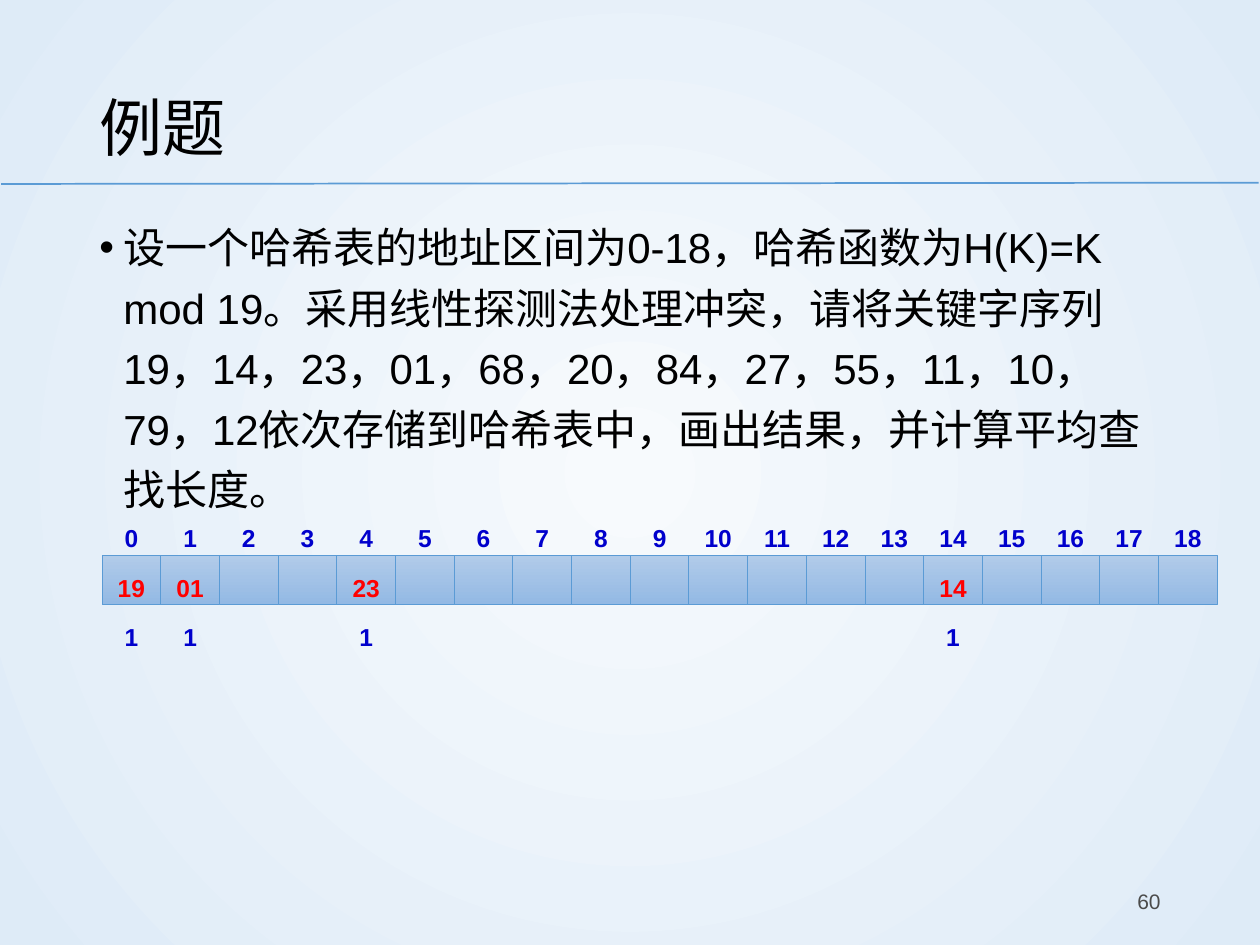
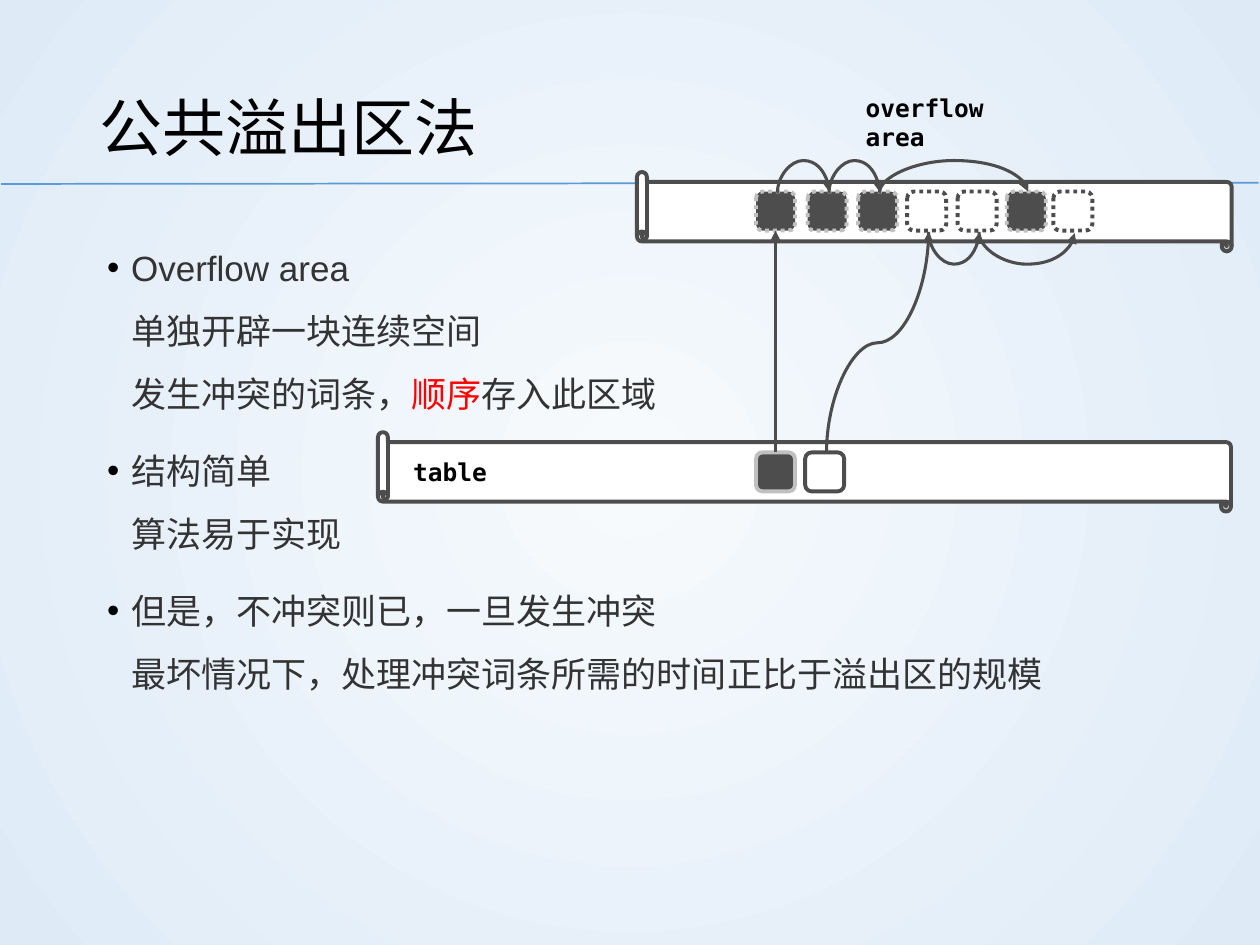
from lxml.etree import SubElement
from pptx import Presentation
from pptx.dml.color import RGBColor
from pptx.enum.dml import MSO_LINE
from pptx.enum.shapes import MSO_CONNECTOR, MSO_SHAPE
from pptx.enum.text import MSO_ANCHOR, PP_ALIGN
from pptx.oxml.ns import qn
from pptx.util import Inches, Pt

BLACK, WHITE, DARK, SILVER = "000000", "FFFFFF", "4D4D4D", "C0C0C0"
BLUE, INDEX_BLUE, RED, BODY_GRAY = "5B9BD5", "0000CC", "FF0000", "333333"
MONO = "DejaVu Sans Mono"
rgb = RGBColor.from_string


def write(target, paragraphs, size=14, color=BLACK, font="Arial", bold=False,
          align=PP_ALIGN.LEFT, anchor=MSO_ANCHOR.TOP, spacing=None, before=0,
          after=0, bullet=False, insets=(0.1, 0.05, 0.1, 0.05)):
    """Fill a shape; a paragraph is a string or a list of (text, color) runs."""
    tf = target.text_frame
    tf.word_wrap = True
    tf.vertical_anchor = anchor
    tf.margin_left, tf.margin_top, tf.margin_right, tf.margin_bottom = map(Inches, insets)
    if isinstance(paragraphs, str):
        paragraphs = [paragraphs]
    for i, runs in enumerate(paragraphs):
        p = tf.add_paragraph() if i else tf.paragraphs[0]
        if bullet:
            pPr = p._p.get_or_add_pPr()
            pPr.set("marL", str(Inches(0.19)))
            pPr.set("indent", str(Inches(-0.19)))
            SubElement(SubElement(pPr, qn("a:buClr")), qn("a:srgbClr")).set("val", BLACK)
            SubElement(pPr, qn("a:buFont")).set("typeface", "Arial")
            SubElement(pPr, qn("a:buChar")).set("char", "•")
        p.alignment = align
        p.line_spacing = spacing
        p.space_before = Pt(before if i else 0)
        p.space_after = Pt(after)
        for words, run_color in [(runs, color)] if isinstance(runs, str) else runs:
            for j, line in enumerate(words.split("\n")):
                if j:
                    p.add_line_break()
                r = p.add_run()
                r.text = line
                r.font.name, r.font.size, r.font.bold = font, Pt(size), bold
                r.font.color.rgb = rgb(run_color)


def finish_line(connector, color, width, arrow=False):
    connector.line.color.rgb = rgb(color)
    connector.line.width = Pt(width)
    if arrow:
        SubElement(connector.line._get_or_add_ln(), qn("a:tailEnd")).set("type", "triangle")
    SubElement(connector._element.spPr, qn("a:effectLst"))


prs = Presentation()
prs.slide_width, prs.slide_height = Inches(10), Inches(7.5)

# Shared background, rule and title
slides = []
for title in ("例题", "公共溢出区法"):
    s = prs.slides.add_slide(prs.slide_layouts[6])
    fill = s.background.fill
    fill.gradient()
    for stop, color in zip(fill.gradient_stops, ("F7FAFD", "DEEBF7")):
        stop.color.rgb = rgb(color)
    grad = s._element.find(".//" + qn("a:gradFill"))
    grad.remove(grad.find(qn("a:lin")))
    radial = SubElement(grad, qn("a:path"))
    radial.set("path", "circle")
    center = SubElement(radial, qn("a:fillToRect"))
    for side in "ltrb":
        center.set(side, "50000")
    rule = s.shapes.add_connector(MSO_CONNECTOR.STRAIGHT, Inches(0.01), Inches(1.46),
                                  Inches(9.99), Inches(1.45))
    finish_line(rule, BLUE, 1)
    box = s.shapes.add_textbox(Inches(0.69), Inches(0.4), Inches(8.62), Inches(1.08))
    write(box, title, size=36, anchor=MSO_ANCHOR.MIDDLE, spacing=1.2)
    slides.append(s)

# Slide 1: exercise text and page number
sp = slides[0].shapes
box = sp.add_textbox(Inches(0.69), Inches(1.63), Inches(8.62), Inches(5.13))
write(box, "设一个哈希表的地址区间为0-18，哈希函数为H(K)=K mod 19。采用线性探测法处理冲突，"
      "请将关键字序列19，14，23，01，68，20，84，27，55，11，10，79，12"
      "依次存储到哈希表中，画出结果，并计算平均查找长度。",
      size=24, spacing=1.2, bullet=True)
box = sp.add_textbox(Inches(7.06), Inches(6.95), Inches(2.25), Inches(0.4))
write(box, "60", size=12, color="4B4B4B", align=PP_ALIGN.RIGHT, anchor=MSO_ANCHOR.MIDDLE)

# Slide 1: hash table with index above, key inside, probe count below
slots = 19
slot_w = 8.85 / slots
stored = {0: "19", 1: "01", 4: "23", 14: "14"}
for i in range(slots):
    x = Inches(0.81 + i * slot_w)
    slot = sp.add_shape(MSO_SHAPE.RECTANGLE, x, Inches(4.41), Inches(slot_w), Inches(0.39))
    slot.shadow.inherit = False
    slot.fill.gradient()
    slot.fill.gradient_angle = 270
    for stop, color in zip(slot.fill.gradient_stops, ("B1CBE9", "93B9E4")):
        stop.color.rgb = rgb(color)
    slot.line.color.rgb = rgb(BLUE)
    slot.line.width = Pt(0.5)
    labels = [(4.1, str(i), INDEX_BLUE)]
    if i in stored:
        labels += [(4.5, stored[i], RED), (4.89, "1", INDEX_BLUE)]
    for y, label, color in labels:
        box = sp.add_textbox(x, Inches(y), Inches(slot_w), Inches(0.34))
        write(box, label, color=color, bold=True, align=PP_ALIGN.CENTER)

# Slide 2: explanation
sp = slides[1].shapes
box = sp.add_textbox(Inches(0.69), Inches(1.63), Inches(8.62), Inches(5.13))
write(box, [[("Overflow area\n单独开辟一块连续空间\n发生冲突的词条，", BODY_GRAY),
             ("顺序", RED), ("存入此区域", BODY_GRAY)],
            "结构简单\n算法易于实现",
            "但是，不冲突则已，一旦发生冲突\n最坏情况下，处理冲突词条所需的时间正比于溢出区的规模"],
      size=20, color=BODY_GRAY, spacing=1.5, before=6, after=2, bullet=True,
      insets=(0.16, 0.16, 0, 0.08))

# Slide 2: the two scrolls, table below and overflow area above
scrolls = []
for x, y, length in ((6.07, 0.36, 6.77), (7.1, -0.68, 4.72)):
    scroll = sp.add_shape(MSO_SHAPE.VERTICAL_SCROLL, Inches(x), Inches(y),
                          Inches(0.63), Inches(length))
    scroll.rotation = 270
    scroll.shadow.inherit = False
    scroll.fill.solid()
    scroll.fill.fore_color.rgb = rgb(WHITE)
    scroll.line.color.rgb = rgb(DARK)
    scroll.line.width = Pt(2.25)
    scrolls.append(scroll)
write(scrolls[0], "table", font=MONO, bold=True, anchor=MSO_ANCHOR.MIDDLE, insets=(0.2,) * 4)
scrolls[0].text_frame._txBody.bodyPr.set("vert", "eaVert")
box = sp.add_textbox(Inches(6.87), Inches(0.84), Inches(1.42), Inches(0.26))
write(box, "overflow area", font=MONO, bold=True, anchor=MSO_ANCHOR.MIDDLE, insets=(0,) * 4)

# Slide 2: entries, dark ones belong to the first chain
entries = []
for x, y, dark in ((6, 3.59, True), (6.39, 3.59, False), (6, 1.52, True),
                   (6.41, 1.52, True), (6.81, 1.52, True), (7.2, 1.52, False),
                   (7.6, 1.52, False), (7.99, 1.52, True), (8.36, 1.52, False)):
    entry = sp.add_shape(MSO_SHAPE.ROUNDED_RECTANGLE, Inches(x), Inches(y),
                         Inches(0.31), Inches(0.31))
    entry.shadow.inherit = False
    entry.fill.solid()
    entry.fill.fore_color.rgb = rgb(DARK if dark else WHITE)
    entry.line.color.rgb = rgb(SILVER if dark else DARK)
    entry.line.width = Pt(2.25)
    if y < 2:
        entry.line.dash_style = MSO_LINE.ROUND_DOT
    entries.append(entry)

# Slide 2: straight link from the table to the overflow area
link = sp.add_connector(MSO_CONNECTOR.STRAIGHT, 0, 0, 0, 0)
link.begin_connect(entries[0], 0)
link.end_connect(entries[2], 2)
finish_line(link, DARK, 1.75, arrow=True)

# Slide 2: curved links, each turned a quarter so that it leaves vertically
for x1, x2, y, rise, reach, up in (
        (6.17, 6.58, 1.53, 0.01, 0.26, True), (6.58, 6.98, 1.53, 0.01, 0.26, True),
        (6.98, 8.16, 1.53, 0.01, 0.26, True), (6.56, 7.37, 3.59, 1.75, 0.87, True),
        (7.37, 7.77, 1.84, 0.01, 0.26, False), (7.77, 8.53, 1.84, 0.01, 0.26, False)):
    span = x2 - x1
    mid_x, mid_y = (x1 + x2) / 2, y + (-rise if up else rise) / 2
    left, top = mid_x - rise / 2, mid_y - span / 2
    link = sp.add_connector(MSO_CONNECTOR.CURVE, Inches(left), Inches(top),
                            Inches(left + rise), Inches(top + span))
    xfrm = link._element.spPr.find(qn("a:xfrm"))
    xfrm.set("rot", str((270 if up else 90) * 60000))
    if not up:
        xfrm.set("flipV", "1")
    guide = SubElement(link._element.spPr.find(qn("a:prstGeom")).find(qn("a:avLst")), qn("a:gd"))
    guide.set("name", "adj1")
    guide.set("fmla", f"val {round(reach / rise * 100000)}")
    finish_line(link, DARK, 1.75, arrow=True)

prs.save("out.pptx")
